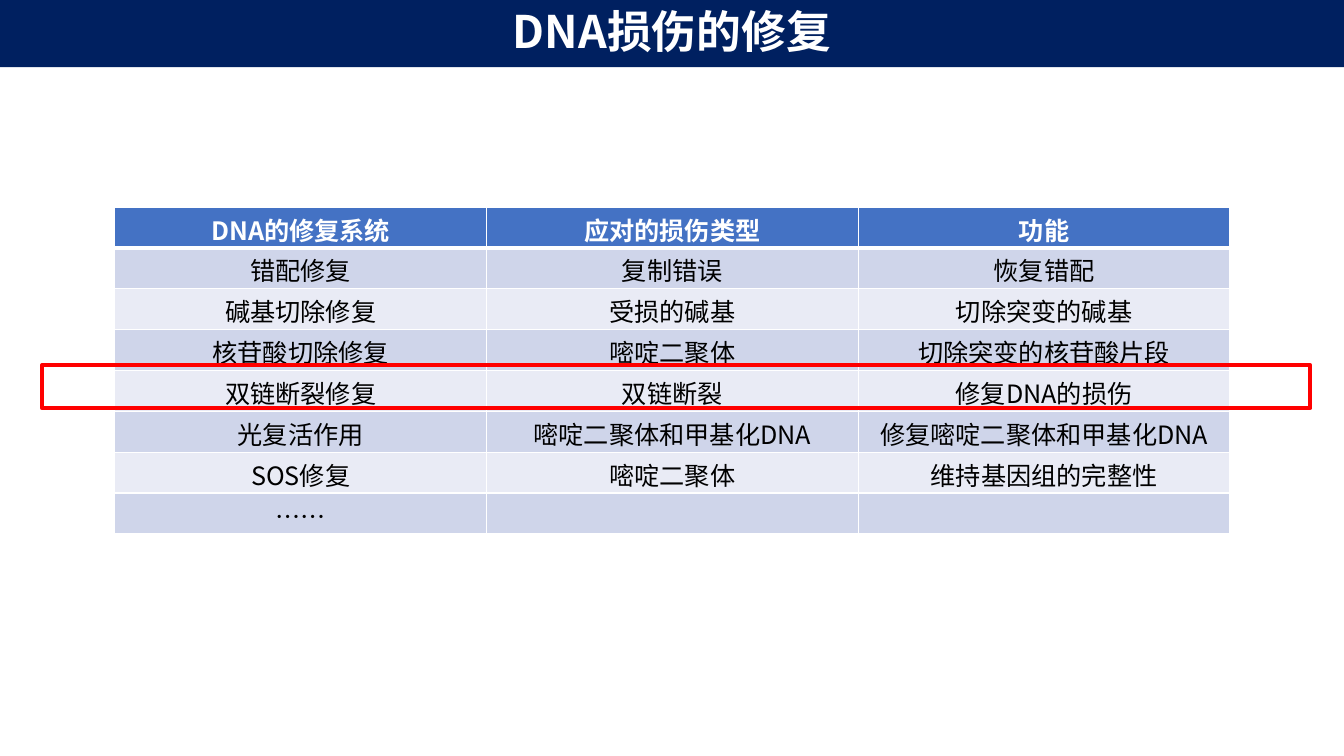
import pptx
import pptx.util
import pptx.dml.color
import pptx.enum.shapes
import pptx.enum.text
import pptx.oxml
import pptx.oxml.ns

Pt = pptx.util.Pt
FONT = "Noto Sans CJK SC"
HEADING = "DNA损伤的修复"
REPAIRS = [
    ("DNA的修复系统", "应对的损伤类型", "功能"),
    ("错配修复", "复制错误", "恢复错配"),
    ("碱基切除修复", "受损的碱基", "切除突变的碱基"),
    ("核苷酸切除修复", "嘧啶二聚体", "切除突变的核苷酸片段"),
    ("双链断裂修复", "双链断裂", "修复DNA的损伤"),
    ("光复活作用", "嘧啶二聚体和甲基化DNA", "修复嘧啶二聚体和甲基化DNA"),
    ("SOS修复", "嘧啶二聚体", "维持基因组的完整性"),
    ("……", "", ""),
]
NAVY, WHITE, BLACK, RED = "002060", "FFFFFF", "000000", "FF0000"
HEADER_FILL, BANDS = "4472C4", ("E9EBF5", "CFD5EA")
WIDTH, HEIGHT = 960, 540
BANNER_HEIGHT, HEADING_HEIGHT = 48, 46
GRID_LEFT, GRID_TOP, COLUMN_WIDTH, ROW_HEIGHT = 82, 147.8, 265.5, 29.2
HIGHLIGHT = (30, 261, 906, 30.5)
HEADING_FRAME = {
    "word_wrap": True,
    "margin_top": 0,
    "margin_bottom": Pt(2.5),
    "vertical_anchor": pptx.enum.text.MSO_ANCHOR.MIDDLE,
}
CELL_FORMAT = {
    "margin_top": Pt(2.8),
    "margin_bottom": 0,
    "vertical_anchor": pptx.enum.text.MSO_ANCHOR.TOP,
}


def apply(target, values):
    for name, value in values.items():
        setattr(target, name, value)


def paint(colour_format, hex_colour):
    colour_format.rgb = pptx.dml.color.RGBColor.from_string(hex_colour)


def fill(target, hex_colour):
    target.fill.solid()
    paint(target.fill.fore_color, hex_colour)


def write(frame, words, size, hex_colour, bold):
    paragraph = frame.paragraphs[0]
    paragraph.alignment = pptx.enum.text.PP_ALIGN.CENTER
    if not words:
        paragraph.font.size = Pt(size)
        return
    run = paragraph.add_run()
    run.text = words
    apply(run.font, {"name": FONT, "size": Pt(size), "bold": bold})
    paint(run.font.color, hex_colour)
    east_asian = pptx.oxml.parse_xml(
        f'<a:ea {pptx.oxml.ns.nsdecls("a")} typeface="{FONT}"/>')
    run.font._element.append(east_asian)


def rule_cell(cell, widths):
    properties = cell._tc.get_or_add_tcPr()
    for position, (side, width) in enumerate(widths.items()):
        properties.insert(position, pptx.oxml.parse_xml(
            f'<a:ln{side} {pptx.oxml.ns.nsdecls("a")} w="{Pt(width)}">'
            f'<a:solidFill><a:srgbClr val="{WHITE}"/></a:solidFill></a:ln{side}>'))


def add_rectangle(slide, box):
    rectangle = slide.shapes.add_shape(
        pptx.enum.shapes.MSO_SHAPE.RECTANGLE, *map(Pt, box))
    rectangle.shadow.inherit = False
    return rectangle


def add_repairs(slide):
    columns = len(REPAIRS[0])
    grid = slide.shapes.add_table(
        len(REPAIRS), columns, Pt(GRID_LEFT), Pt(GRID_TOP),
        Pt(COLUMN_WIDTH * columns), Pt(ROW_HEIGHT * len(REPAIRS))).table
    for column in grid.columns:
        column.width = Pt(COLUMN_WIDTH)
    for r, entries in enumerate(REPAIRS):
        grid.rows[r].height = Pt(ROW_HEIGHT)
        header = r == 0
        for c, words in enumerate(entries):
            cell = grid.cell(r, c)
            apply(cell, CELL_FORMAT)
            fill(cell, HEADER_FILL if header else BANDS[r % 2])
            rule_cell(cell, {"L": 1, "R": 1, "T": 3 if r == 1 else 1,
                             "B": 3 if header else 1})
            write(cell.text_frame, words, 18, WHITE if header else BLACK, header)


def main():
    deck = pptx.Presentation()
    apply(deck, {"slide_width": Pt(WIDTH), "slide_height": Pt(HEIGHT)})
    slide = deck.slides.add_slide(deck.slide_layouts[6])

    banner = add_rectangle(slide, (0, 0, WIDTH, BANNER_HEIGHT))
    fill(banner, NAVY)
    banner.line.fill.background()

    heading = slide.shapes.add_textbox(0, 0, Pt(WIDTH), Pt(HEADING_HEIGHT))
    apply(heading.text_frame, HEADING_FRAME)
    write(heading.text_frame, HEADING, 32, WHITE, True)

    add_repairs(slide)

    highlight = add_rectangle(slide, HIGHLIGHT)
    highlight.fill.background()
    paint(highlight.line.color, RED)
    highlight.line.width = Pt(3)

    deck.save("out.pptx")


if __name__ == "__main__":
    main()
